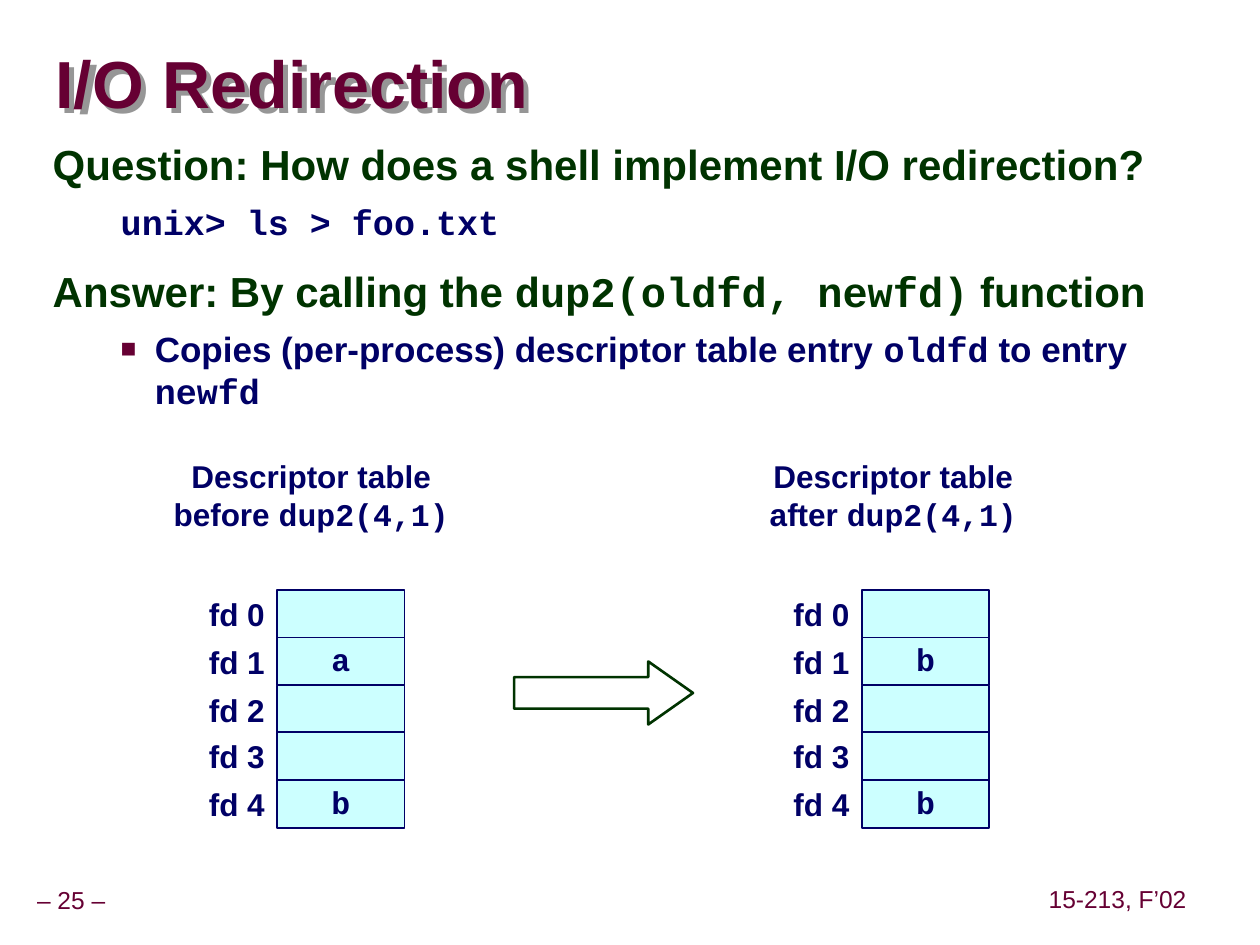
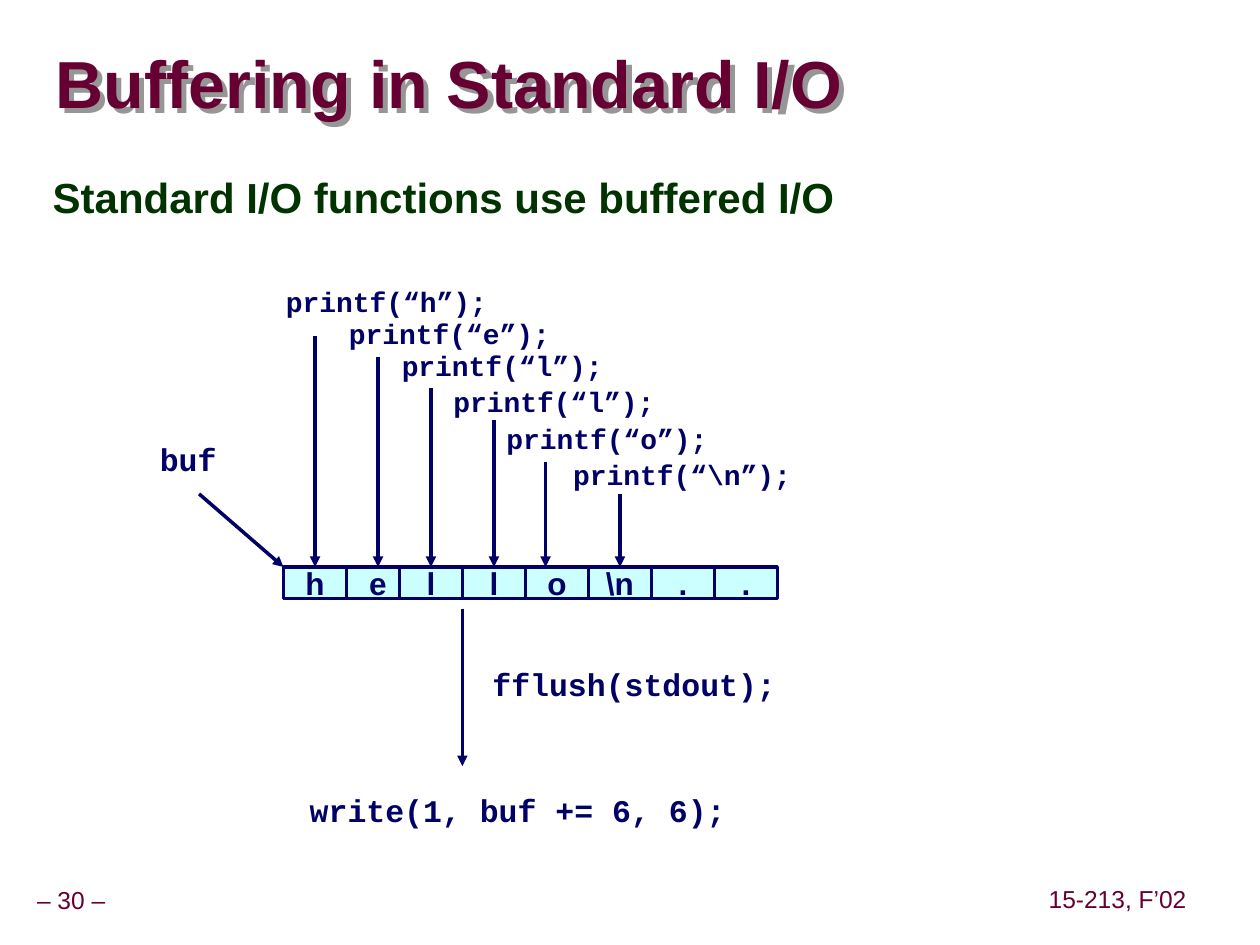
from collections import namedtuple

from lxml import etree
from pptx import Presentation
from pptx.dml.color import RGBColor
from pptx.enum.shapes import MSO_CONNECTOR, MSO_SHAPE
from pptx.enum.text import MSO_ANCHOR, MSO_AUTO_SIZE, PP_ALIGN
from pptx.oxml.ns import qn
from pptx.util import Pt

PX = 9144  # 100 px to the inch
BLANK = 6

WHITE = RGBColor(0xFF, 0xFF, 0xFF)
MAROON = RGBColor(0x66, 0x00, 0x33)
GREEN = RGBColor(0x00, 0x33, 0x00)
NAVY = RGBColor(0x00, 0x00, 0x66)
CYAN = RGBColor(0xCC, 0xFF, 0xFF)
SHADOW_GREY = RGBColor(0x96, 0x96, 0x96)

SANS = "Arial"
MONO = "Courier New"

Box = namedtuple("Box", "left top width height")
Style = namedtuple("Style", "size color font bold", defaults=(SANS, True))
Level = namedtuple("Level", "style margin hanging line_spacing space_before")

TITLE = Style(38, MAROON)
FOOTER = Style(14, MAROON, bold=False)
LABEL = Style(18, NAVY)
CODE = Style(18, NAVY, MONO)
CALL = Style(16, NAVY, MONO)

HEADING = Level(Style(24, GREEN), 42, 42, 0.95, 15)
DETAIL = Level(Style(20, NAVY), 81, 27, 1.0, 6.2)
COMMAND = DETAIL._replace(style=Style(20, NAVY, MONO))

FD_COUNT = 5
FD_PITCH = 37.75
FD_CELL_WIDTH = 101


def emu(box):
    return [round(length * PX) for length in box]


def add_run(paragraph, text, style):
    run = paragraph.add_run()
    run.text = text
    run.font.size = Pt(style.size)
    run.font.name = style.font
    run.font.bold = style.bold
    run.font.color.rgb = style.color


def add_mixed_runs(paragraph, pieces, style):
    """Set pieces in turn in the style's font and in the code font."""
    for index, piece in enumerate(pieces):
        add_run(paragraph, piece, style._replace(font=MONO) if index % 2 else style)


def set_frame(frame, anchor, wrap=False, inset_x=10, inset_y=5):
    frame.word_wrap = wrap
    frame.vertical_anchor = anchor
    frame.margin_left = frame.margin_right = inset_x * PX
    frame.margin_top = frame.margin_bottom = inset_y * PX


def add_label(slide, box, text, style, align=PP_ALIGN.LEFT, anchor=MSO_ANCHOR.TOP):
    frame = slide.shapes.add_textbox(*emu(box)).text_frame
    set_frame(frame, anchor)
    paragraph = frame.paragraphs[0]
    paragraph.alignment = align
    add_run(paragraph, text, style)
    return frame


def add_code(slide, box, text, style=CODE):
    add_label(slide, box, text, style).auto_size = MSO_AUTO_SIZE.SHAPE_TO_FIT_TEXT


def add_cell(slide, box, text, style, line_width, line_spacing=1.0):
    cell = slide.shapes.add_shape(MSO_SHAPE.RECTANGLE, *emu(box))
    cell.shadow.inherit = False
    cell.fill.solid()
    cell.fill.fore_color.rgb = CYAN
    cell.line.color.rgb = NAVY
    cell.line.width = Pt(line_width)
    if text:
        set_frame(cell.text_frame, MSO_ANCHOR.MIDDLE)
        paragraph = cell.text_frame.paragraphs[0]
        paragraph.alignment = PP_ALIGN.CENTER
        paragraph.line_spacing = line_spacing
        add_run(paragraph, text, style)


def add_arrow(slide, start, end):
    arrow = slide.shapes.add_connector(MSO_CONNECTOR.STRAIGHT, *emu(start + end))
    arrow.line.color.rgb = NAVY
    arrow.line.width = Pt(2)
    etree.SubElement(arrow.line._get_or_add_ln(), qn("a:tailEnd"), type="triangle")
    etree.SubElement(arrow._element.spPr, qn("a:effectLst"))


def add_text_shadow(text_box, color):
    """Shadow an unfilled box, so that its letters cast the shadow."""
    effects = etree.SubElement(text_box._element.spPr, qn("a:effectLst"))
    shadow = etree.SubElement(
        effects, qn("a:outerShdw"), dist=str(6 * PX), dir="2700000", algn="ctr"
    )
    etree.SubElement(shadow, qn("a:srgbClr"), val=str(color))


def add_title(slide, box, text):
    title = slide.shapes.add_textbox(*emu(box))
    add_text_shadow(title, SHADOW_GREY)
    set_frame(title.text_frame, MSO_ANCHOR.MIDDLE, wrap=True, inset_x=0, inset_y=0)
    paragraph = title.text_frame.paragraphs[0]
    paragraph.line_spacing = 0.87
    add_run(paragraph, text, TITLE)


def add_footer(slide, box, text):
    frame = add_label(slide, box, text, FOOTER, PP_ALIGN.CENTER, MSO_ANCHOR.MIDDLE)
    set_frame(frame, MSO_ANCHOR.MIDDLE, inset_x=5)
    frame.paragraphs[0].line_spacing = 0.9


def add_bullet(paragraph):
    properties = paragraph._p.get_or_add_pPr()
    color = etree.SubElement(properties, qn("a:buClr"))
    etree.SubElement(color, qn("a:srgbClr"), val=str(MAROON))
    etree.SubElement(properties, qn("a:buSzPct"), val="75000")
    etree.SubElement(properties, qn("a:buFont"), typeface=SANS)
    etree.SubElement(properties, qn("a:buChar"), char="■")


def add_body(slide, box, entries):
    """Each entry is (level, bulleted, pieces alternating text and code)."""
    frame = slide.shapes.add_textbox(*emu(box)).text_frame
    set_frame(frame, MSO_ANCHOR.TOP, wrap=True)
    for index, (level, bulleted, pieces) in enumerate(entries):
        paragraph = frame.add_paragraph() if index else frame.paragraphs[0]
        properties = paragraph._p.get_or_add_pPr()
        properties.set("marL", str(level.margin * PX))
        properties.set("indent", str(-level.hanging * PX))
        if bulleted:
            add_bullet(paragraph)
        paragraph.line_spacing = level.line_spacing
        if index:
            paragraph.space_before = Pt(level.space_before)
        add_mixed_runs(paragraph, pieces, level.style)


def add_base_slide(deck, title, number):
    slide = deck.slides.add_slide(deck.slide_layouts[BLANK])
    slide.background.fill.solid()
    slide.background.fill.fore_color.rgb = WHITE
    add_footer(slide, Box(10, 700, 93, 31), f"– {number} –")
    add_footer(slide, Box(827, 699, 120, 31), "15-213, F’02")
    add_title(slide, Box(44, 27, 953, 85), title)
    return slide


def add_descriptor_table(slide, left, top, entries):
    """Stack the descriptor cells, with their fd labels to the left."""
    for fd in range(FD_COUNT):
        cell = Box(left, top + round(fd * FD_PITCH), FD_CELL_WIDTH, 38)
        add_cell(slide, cell, entries.get(fd), CODE, 1, 0.9)
        add_label(
            slide, cell._replace(left=left - FD_CELL_WIDTH), f"fd {fd}",
            LABEL, PP_ALIGN.RIGHT, MSO_ANCHOR.MIDDLE,
        )


def add_table_heading(slide, box, moment):
    frame = add_label(
        slide, box, "Descriptor table", LABEL, PP_ALIGN.CENTER, MSO_ANCHOR.MIDDLE
    )
    frame.auto_size = MSO_AUTO_SIZE.SHAPE_TO_FIT_TEXT
    call_line = frame.add_paragraph()
    call_line.alignment = PP_ALIGN.CENTER
    add_mixed_runs(call_line, (f"{moment} ", "dup2(4,1)"), LABEL)


def add_block_arrow(slide, box):
    arrow = slide.shapes.add_shape(MSO_SHAPE.RIGHT_ARROW, *emu(box))
    arrow.adjustments[0] = 0.5
    arrow.adjustments[1] = 0.71
    arrow.shadow.inherit = False
    arrow.fill.background()
    arrow.line.color.rgb = GREEN
    arrow.line.width = Pt(1.5)


def add_buffer(slide, left, top):
    """Draw the buffer cells with the calls that fill them above."""
    cells = zip(("h", "e", "l", "l", "o", "\\n", ".", "."),
                (0, 50, *range(92, 343, 50)))
    for text, offset in cells:
        add_cell(slide, Box(left + offset, top, 50, 25), text, LABEL, 2)

    # character, label offset, label rise, arrow offset, arrow length
    calls = (
        ("h", -8, 229, 25, 183),
        ("e", 42, 204, 75, 167),
        ("l", 84, 178, 117, 142),
        ("l", 125, 150, 167, 117),
        ("o", 167, 120, 208, 83),
        ("\\n", 220, 92, 267, 58),
    )
    for character, label_x, rise, arrow_x, length in calls:
        width = 168 + 14 * len(character)
        add_code(slide, Box(left + label_x, top - rise, width, 37),
                 f"printf(“{character}”);", CALL)
        add_arrow(slide, (left + arrow_x, top - length), (left + arrow_x, top))

    add_code(slide, Box(left - 108, top - 106, 67, 40), "buf")
    add_arrow(slide, (left - 67, top - 58), (left, top))


def add_flush(slide, left, top):
    add_arrow(slide, (left, top), (left, top + 125))
    add_code(slide, Box(left + 14, top + 40, 247, 40), "fflush(stdout);")
    add_code(slide, Box(left - 131, top + 140, 352, 40), "write(1, buf += 6, 6);")


def build_redirection(deck):
    slide = add_base_slide(deck, "I/O Redirection", 25)
    add_body(slide, Box(32, 108, 909, 267), (
        (HEADING, False, ("Question: How does a shell implement I/O redirection?",)),
        (COMMAND, False, ("unix> ls > foo.txt",)),
        (HEADING, False,
         ("Answer: By calling the ", "dup2(oldfd, newfd)", " function")),
        (DETAIL, True, ("Copies (per-process) descriptor table entry ", "oldfd",
                        " to entry ", "newfd")),
    ))
    add_descriptor_table(slide, 220, 468, {1: "a", 4: "b"})
    add_table_heading(slide, Box(126, 358, 242, 70), "before")
    add_descriptor_table(slide, 684, 468, {1: "b", 4: "b"})
    add_table_heading(slide, Box(599, 358, 220, 70), "after")
    add_block_arrow(slide, Box(408, 525, 142, 50))


def build_buffering(deck):
    slide = add_base_slide(deck, "Buffering in Standard I/O", 30)
    add_body(slide, Box(32, 134, 909, 571), (
        (HEADING, False, ("Standard I/O functions use buffered I/O",)),
    ))
    add_buffer(slide, 225, 450)
    add_flush(slide, 367, 483)


def main():
    deck = Presentation()
    deck.slide_width = 1000 * PX
    deck.slide_height = 750 * PX
    build_redirection(deck)
    build_buffering(deck)
    deck.save("out.pptx")


if __name__ == "__main__":
    main()
